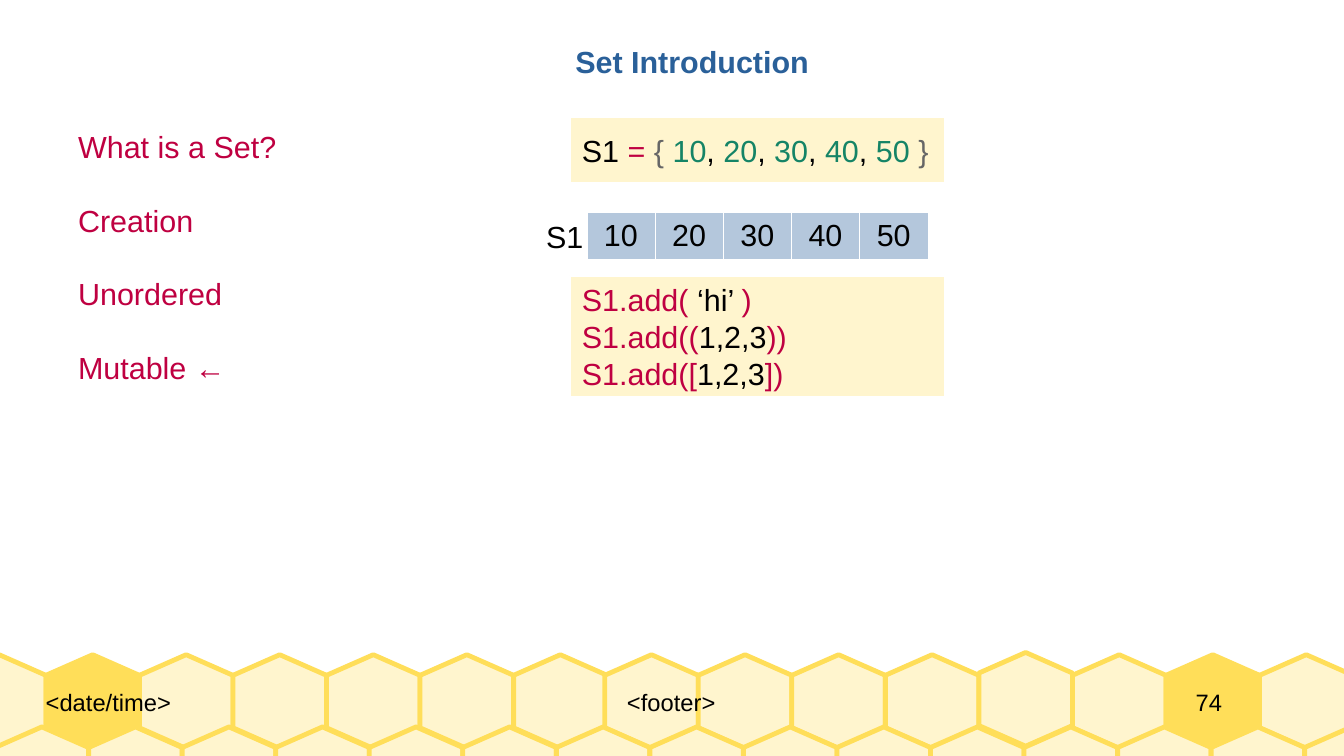
import pptx
import pptx.dml.color
import pptx.enum.text
import pptx.oxml
import pptx.oxml.ns
import pptx.util
import lxml.etree

RGBColor = pptx.dml.color.RGBColor
Pt = pptx.util.Pt
ALIGN = pptx.enum.text.PP_ALIGN
ANCHOR = pptx.enum.text.MSO_ANCHOR

BLACK = RGBColor(0x00, 0x00, 0x00)
WHITE = RGBColor(0xFF, 0xFF, 0xFF)
GRAY = RGBColor(0x66, 0x66, 0x66)
BLUE = RGBColor(0x2A, 0x60, 0x99)
PALE_BLUE = RGBColor(0xB4, 0xC7, 0xDC)
CRIMSON = RGBColor(0xBF, 0x00, 0x41)
GREEN = RGBColor(0x15, 0x84, 0x66)
CREAM = RGBColor(0xFF, 0xF5, 0xCE)
HONEY = RGBColor(0xFF, 0xDE, 0x59)

deck = pptx.Presentation()
deck.slide_width = pptx.util.Inches(11.02)
deck.slide_height = pptx.util.Inches(6.2)
slide = deck.slides.add_slide(deck.slide_layouts[1])


def area(left, top, width, height):
    """Turn percentages of the slide's width and height into lengths."""
    across, down = deck.slide_width / 100, deck.slide_height / 100
    return [round(left * across), round(top * down),
            round(width * across), round(height * down)]


def write_text(frame, lines, size=18, color=BLACK, bold=False, align=ALIGN.LEFT,
               anchor=ANCHOR.TOP, gap=0, inset=(0.1, 0.05)):
    """Fill a frame; a line is a string or a list of (text, color) pieces."""
    frame.word_wrap = True
    frame.auto_size = pptx.enum.text.MSO_AUTO_SIZE.NONE
    frame.vertical_anchor = anchor
    frame.margin_left = frame.margin_right = pptx.util.Inches(inset[0])
    frame.margin_top = frame.margin_bottom = pptx.util.Inches(inset[1])
    for index, line in enumerate(lines):
        paragraph = frame.add_paragraph() if index else frame.paragraphs[0]
        paragraph.alignment = align
        paragraph.space_before = Pt(gap if index else 0)
        pieces = [(line, color)] if isinstance(line, str) else line
        for text, piece_color in pieces:
            run = paragraph.add_run()
            run.text = text
            run.font.name = "Arial"
            run.font.size = Pt(size)
            run.font.bold = bold
            run.font.color.rgb = piece_color


# Honeycomb: (first left, top, cell count, highlighted cells, raised cells)
HEX_WIDTH, HEX_HEIGHT = 6.96, 12.4
HEX_CORNERS = [(0.5, 0), (0, 0.22), (0, 0.78), (0.5, 1), (1, 0.78), (1, 0.22)]
honeycomb = [
    (-3.54, 86.6, 7, [1], []),
    (45.0, 86.6, 8, [6], [4]),
    (-0.36, 96.15, 15, [], []),
]
for first_left, row_top, count, highlighted, raised in honeycomb:
    for index in range(count):
        top = row_top - (0.3 if index in raised else 0)
        x, y, width, height = area(first_left + index * HEX_WIDTH, top,
                                   HEX_WIDTH, HEX_HEIGHT)
        corners = [(round(x + u * width), round(y + v * height))
                   for u, v in HEX_CORNERS]
        outline = slide.shapes.build_freeform(*corners[0])
        outline.add_line_segments(corners[1:], close=True)
        cell = outline.convert_to_shape()
        cell.shadow.inherit = False
        cell.fill.solid()
        cell.fill.fore_color.rgb = HONEY if index in highlighted else CREAM
        cell.line.color.rgb = HONEY
        cell.line.width = Pt(2.83)

footer_parts = [
    ("<date/time>", 3.4, 23.8, ALIGN.LEFT),
    ("<footer>", 27.2, 45.5, ALIGN.CENTER),
    ("74", 84.3, 11.3, ALIGN.CENTER),
]
for text, left, width, align in footer_parts:
    footer = slide.shapes.add_textbox(*area(left, 86.6, width, HEX_HEIGHT))
    write_text(footer.text_frame, [text], size=14, align=align,
               anchor=ANCHOR.MIDDLE, inset=(0, 0))

heading = slide.shapes.title
heading.left, heading.top, heading.width, heading.height = area(41.9, 4.85, 22, 6.1)
write_text(heading.text_frame, ["Set Introduction"], color=BLUE, bold=True)

topics = slide.placeholders[1]
topics.left, topics.top, topics.width, topics.height = area(4.9, 16.1, 22, 36)
write_text(topics.text_frame,
           ["What is a Set?", "Creation", "Unordered", "Mutable ←"],
           color=CRIMSON, gap=22)
for topic in topics.text_frame.paragraphs:
    properties = topic._p.get_or_add_pPr()
    properties.set("marL", "0")
    properties.set("indent", "0")
    lxml.etree.SubElement(properties, pptx.oxml.ns.qn("a:buNone"))

values = ["10", "20", "30", "40", "50"]
creation = [("S1 ", BLACK), ("= ", CRIMSON), ("{ ", GRAY), (values[0], GREEN)]
for value in values[1:]:
    creation += [(",", BLACK), (" " + value, GREEN)]
creation.append((" }", GRAY))
additions = [
    [("S1.add( ", CRIMSON), ("‘hi’ ", BLACK), (")", CRIMSON)],
    [("S1.add((", CRIMSON), ("1,2,3", BLACK), ("))", CRIMSON)],
    [("S1.add([", CRIMSON), ("1,2,3", BLACK), ("])", CRIMSON)],
]
for code, top, height in [([creation], 15.5, 8.7), (additions, 36.5, 16)]:
    panel = slide.shapes.add_shape(pptx.enum.shapes.MSO_SHAPE.RECTANGLE,
                                   *area(42.4, top, 27.95, height))
    panel.shadow.inherit = False
    panel.fill.solid()
    panel.fill.fore_color.rgb = CREAM
    panel.line.color.rgb = WHITE
    panel.line.width = Pt(1.42)
    write_text(panel.text_frame, code, anchor=ANCHOR.MIDDLE)

set_table = slide.shapes.add_table(1, len(values), *area(43.65, 28.1, 25.4, 6.2)).table
set_table.first_row = set_table.horz_banding = False
for cell, value in zip(set_table.iter_cells(), values):
    write_text(cell.text_frame, [value], align=ALIGN.CENTER)
    for side in "LRTB":
        cell._tc.get_or_add_tcPr().append(pptx.oxml.parse_xml(
            f'<a:ln{side} {pptx.oxml.ns.nsdecls("a")} w="720"><a:solidFill>'
            f'<a:srgbClr val="{WHITE}"/></a:solidFill></a:ln{side}>'))
    cell.fill.solid()
    cell.fill.fore_color.rgb = PALE_BLUE

set_name = slide.shapes.add_textbox(*area(39.75, 28.1, 4.8, 6.2))
write_text(set_name.text_frame, ["S1"])

deck.save("out.pptx")
